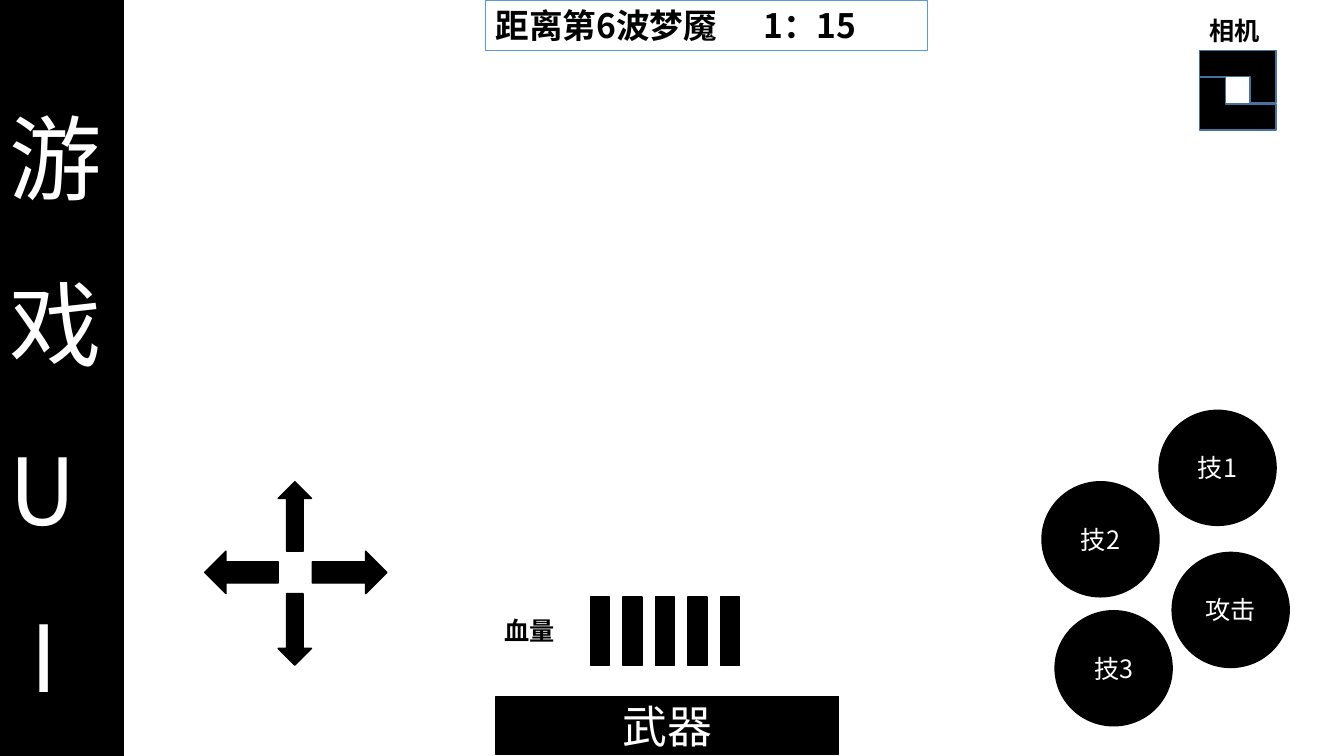
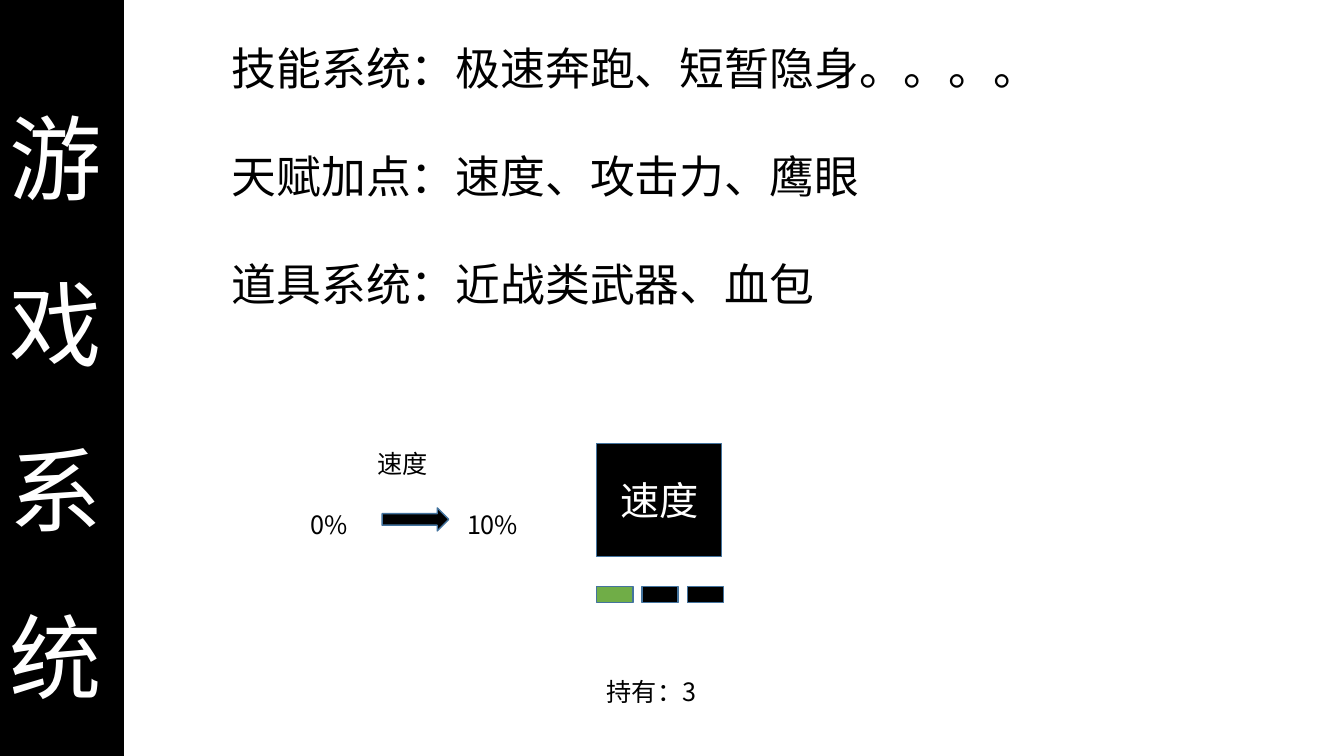
from dataclasses import dataclass
from typing import Optional

from lxml import etree
from pptx import Presentation
from pptx import util as u
from pptx.dml.color import RGBColor
from pptx.enum import shapes, text
from pptx.oxml.ns import qn

BLACK = RGBColor(0x00, 0x00, 0x00)
WHITE = RGBColor(0xFF, 0xFF, 0xFF)
GREEN = RGBColor(0x70, 0xAD, 0x47)
LIGHT_BLUE = RGBColor(0x5B, 0x9B, 0xD5)
STEEL_BLUE = RGBColor(0x43, 0x73, 0x9E)
FONT = "Noto Sans CJK SC"
Kind = shapes.MSO_SHAPE
Align = text.PP_ALIGN
Anchor = text.MSO_ANCHOR


@dataclass(frozen=True)
class Block:
    """A preset shape, with lengths in centimetres."""
    kind: Kind
    left: float
    top: float
    width: float
    height: float
    label: str = ""
    size: int = 18
    fill: RGBColor = BLACK
    line: RGBColor = BLACK
    rotation: int = 0


@dataclass(frozen=True)
class Note:
    """A plain text box, with lengths in centimetres."""
    left: float
    top: float
    width: float
    height: float
    lines: tuple[str, ...]
    size: int = 18
    bold: bool = False
    wrap: bool = True
    gap: float = 0


HEALTH_COUNT, HEALTH_PITCH = 5, 0.82
PIP_COLOURS, PIP_PITCH = (GREEN, BLACK, BLACK), 1.14

UI_BLOCKS = [
    Block(Kind.LEFT_ARROW, 5.16, 13.89, 1.85, 1.07),
    Block(Kind.DOWN_ARROW, 7.01, 14.96, 0.84, 1.8),
    Block(Kind.UP_ARROW, 7.01, 12.14, 0.84, 1.75),
    Block(Kind.RIGHT_ARROW, 7.87, 13.89, 1.88, 1.07),
    *(Block(Kind.OVAL, left, top, 2.95, 2.9, label) for label, left, top in (
        ("攻击", 29.54, 13.92), ("技1", 29.21, 10.34),
        ("技2", 26.26, 12.14), ("技3", 26.59, 15.39))),
    *(Block(Kind.CORNER, 30.23, top, 1.93, 1.32, line=STEEL_BLUE, rotation=turn)
      for top, turn in ((1.96, 0), (1.27, 180))),
    *(Block(Kind.RECTANGLE, 14.88 + i * HEALTH_PITCH, 15.04, 0.48, 1.73)
      for i in range(HEALTH_COUNT)),
    Block(Kind.RECTANGLE, 12.5, 17.55, 8.64, 1.47, "武器", 32),
]
COUNTDOWN_FRAME = Block(Kind.RECTANGLE, 12.24, 0, 11.13, 1.27, fill=WHITE, line=LIGHT_BLUE)
UI_NOTES = [
    Note(30.23, 0.25, 1.8, 1.02, ("相机",), bold=True, wrap=False),
    Note(12.47, 15.37, 1.8, 1.02, ("血量",), bold=True, wrap=False),
]

SYSTEM_BLOCKS = [
    Block(Kind.RECTANGLE, 15.04, 11.18, 3.15, 2.84, "速度", 28, line=STEEL_BLUE),
    *(Block(Kind.RECTANGLE, 15.04 + i * PIP_PITCH, 14.78, 0.91, 0.41,
            fill=colour, line=STEEL_BLUE) for i, colour in enumerate(PIP_COLOURS)),
    Block(Kind.RIGHT_ARROW, 9.63, 12.8, 1.68, 0.58, line=STEEL_BLUE),
]
SYSTEM_NOTES = [
    Note(5.59, 0.91, 27.08, 7.09, ("技能系统：极速奔跑、短暂隐身。。。。",
                                   "天赋加点：速度、攻击力、鹰眼",
                                   "道具系统：近战类武器、血包"), 32, gap=38.5),
    Note(15.04, 16.92, 3.2, 1.02, ("持有：3",)),
]
SPEED_NOTE = Note(7.57, 11.18, 5.82, 2.57, ("速度", "0%\t10%"), gap=22)


def style_text(para, size: int, colour: RGBColor, bold: bool = False) -> None:
    for span in para.runs:
        font = span.font
        font.size, font.bold, font.name = u.Pt(size), bold, FONT
        font.color.rgb = colour
        etree.SubElement(font._element, qn("a:ea"), typeface=FONT)


def indent(para, left: float) -> None:
    props = para._p.get_or_add_pPr()
    props.set("marL", str(u.Cm(left)))
    props.set("indent", "0")


def add_tab(para, position: float) -> None:
    tabs = etree.SubElement(para._p.get_or_add_pPr(), qn("a:tabLst"))
    etree.SubElement(tabs, qn("a:tab"), pos=str(u.Cm(position)), algn="l")


def paint(shape, fill: RGBColor, line: RGBColor) -> None:
    shape.fill.solid()
    shape.fill.fore_color.rgb = fill
    shape.line.color.rgb = line
    shape.line.width = u.Pt(1)


def add_block(page, block: Block):
    shape = page.shapes.add_shape(block.kind, u.Cm(block.left), u.Cm(block.top),
                                  u.Cm(block.width), u.Cm(block.height))
    shape.shadow.inherit = False
    shape.rotation = block.rotation
    paint(shape, block.fill, block.line)
    if block.label:
        frame = shape.text_frame
        frame.text = block.label
        frame.vertical_anchor = Anchor.MIDDLE
        para = frame.paragraphs[0]
        para.alignment = Align.CENTER
        style_text(para, block.size, WHITE)
    return shape


def add_note(page, note: Note):
    box = page.shapes.add_textbox(u.Cm(note.left), u.Cm(note.top),
                                  u.Cm(note.width), u.Cm(note.height))
    frame = box.text_frame
    frame.word_wrap = note.wrap
    frame.text = "\n".join(note.lines)
    for i, para in enumerate(frame.paragraphs):
        if i and note.gap:
            para.space_before = u.Pt(note.gap)
        style_text(para, note.size, BLACK, note.bold)
    return box


def add_page(deck, title_lines: tuple[str, ...], last_indent: Optional[float] = None):
    """Add a page whose title runs down a black band on the left."""
    page = deck.slides.add_slide(deck.slide_layouts[5])
    page.background.fill.solid()
    page.background.fill.fore_color.rgb = WHITE
    title = page.shapes.title
    title.left, title.top = u.Cm(0), u.Cm(0)
    title.width, title.height = u.Cm(3.1), deck.slide_height
    outline = etree.SubElement(title.element.spPr, qn("a:prstGeom"), prst="roundRect")
    etree.SubElement(outline, qn("a:avLst"))
    paint(title, BLACK, BLACK)
    frame = title.text_frame
    frame.text = "\n".join(title_lines)
    frame.auto_size = text.MSO_AUTO_SIZE.NONE
    frame.word_wrap = True
    frame.vertical_anchor = Anchor.MIDDLE
    frame.margin_left = frame.margin_right = u.Cm(0.25)
    frame.margin_top = frame.margin_bottom = u.Cm(0.13)
    for para in frame.paragraphs:
        para.alignment = Align.LEFT
        para.line_spacing = 1.5
        style_text(para, 66, WHITE)
    if last_indent is not None:
        indent(frame.paragraphs[-1], last_indent)
    return page


def add_countdown(page) -> None:
    frame = add_block(page, COUNTDOWN_FRAME).text_frame
    frame.text = "距离第6波梦魇\t1：15"
    frame.vertical_anchor = Anchor.TOP
    para = frame.paragraphs[0]
    para.alignment = Align.LEFT
    add_tab(para, 6.75)
    style_text(para, 24, BLACK, bold=True)


def fill_page(page, blocks: list[Block], notes: list[Note]) -> None:
    for block in blocks:
        add_block(page, block)
    for note in notes:
        add_note(page, note)


def main() -> None:
    deck = Presentation()
    deck.slide_width, deck.slide_height = u.Cm(33.87), u.Cm(19.05)

    ui_page = add_page(deck, ("游", "戏", "U", "I"), last_indent=0.52)
    add_countdown(ui_page)
    fill_page(ui_page, UI_BLOCKS, UI_NOTES)

    system_page = add_page(deck, ("游", "戏", "系统"))
    fill_page(system_page, SYSTEM_BLOCKS, SYSTEM_NOTES)
    heading, change = add_note(system_page, SPEED_NOTE).text_frame.paragraphs
    indent(heading, 1.7)
    add_tab(change, 3.95)

    deck.save("out.pptx")


if __name__ == "__main__":
    main()
